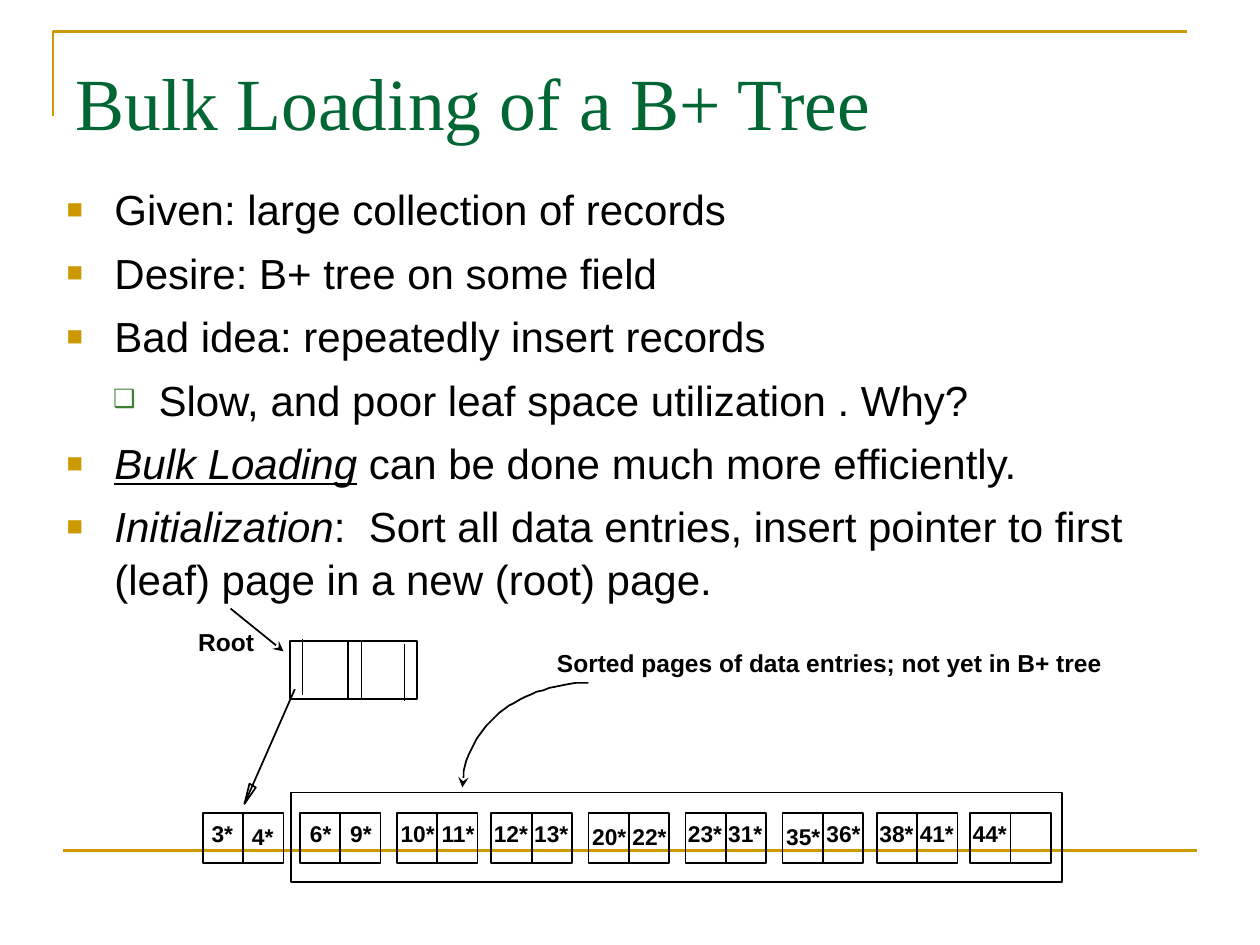
import math

from pptx import Presentation
from pptx import util as u
from pptx.dml.color import RGBColor
from pptx.enum import shapes, text
from pptx.oxml.ns import qn
from lxml import etree

PX = 9144  # 100 px to the inch
GOLD = RGBColor(0xCC, 0x99, 0x00)
GREEN = RGBColor(0x00, 0x66, 0x33)
LEAF_GREEN = RGBColor(0x3B, 0x81, 0x2F)
BLACK = RGBColor(0, 0, 0)

PLAIN, ITALIC, UNDERLINED = (False, False), (True, False), (True, True)
# level and runs of each point
POINTS = [
    (0, [("Given: large collection of records", PLAIN)]),
    (0, [("Desire: B+ tree on some field", PLAIN)]),
    (0, [("Bad idea: repeatedly insert records", PLAIN)]),
    (1, [("Slow, and poor leaf space utilization . Why?", PLAIN)]),
    (0, [("Bulk Loading", UNDERLINED), (" ", ITALIC),
         ("can be done much more efficiently.", PLAIN)]),
    (0, [("Initialization", ITALIC),
         (":  Sort all data entries, insert pointer to first (leaf) page "
          "in a new (root) page.", PLAIN)]),
]
# left margin, hanging indent, bullet, bullet colour and bullet size by level
LEVELS = [(38, 38, "■", GOLD, 65), (73, 36, "❑", LEAF_GREEN, 60)]

# left edge and entries of each leaf page
LEAF_PAGES = [
    (161, ["3*", "4*"]), (238, ["6*", "9*"]), (315, ["10*", "11*"]),
    (390, ["12*", "13*"]), (467, ["20*", "22*"]), (544, ["23*", "31*"]),
    (621, ["35*", "36*"]), (696, ["38*", "41*"]), (770, ["44*"]),
]
LOWERED = {"4*", "20*", "22*", "35*"}


def px(*lengths):
    return [u.Emu(length * PX) for length in lengths]


def add_run(paragraph, wording, size, color=BLACK, face="Arial", bold=False):
    run = paragraph.add_run()
    run.text = wording
    font = run.font
    font.size, font.name, font.bold = u.Pt(size), face, bold
    font.color.rgb = color
    return run


def add_label(slide, left, top, width, height, wording, size):
    frame = slide.shapes.add_textbox(*px(left, top, width, height)).text_frame
    frame.word_wrap = False
    paragraph = frame.paragraphs[0]
    paragraph.alignment = text.PP_ALIGN.CENTER
    add_run(paragraph, wording, size, bold=True)


def outline(shape, color=BLACK, weight=1):
    shape.shadow.inherit = False
    shape.fill.background()
    shape.line.color.rgb = color
    shape.line.width = u.Pt(weight)
    return shape


def add_box(slide, left, top, width, height):
    outline(slide.shapes.add_shape(
        shapes.MSO_SHAPE.RECTANGLE, *px(left, top, width, height)))


def add_path(slide, points, color=BLACK, weight=1, close=False):
    builder = slide.shapes.build_freeform(*points[0], scale=PX)
    builder.add_line_segments(points[1:], close=close)
    return outline(builder.convert_to_shape(), color, weight)


def add_line(slide, x1, y1, x2, y2, color=BLACK, weight=1):
    line = slide.shapes.add_connector(
        shapes.MSO_CONNECTOR.STRAIGHT, *px(x1, y1, x2, y2))
    line.line.color.rgb = color
    line.line.width = u.Pt(weight)
    etree.SubElement(line._element.spPr, qn("a:effectLst"))
    return line


def add_arrowhead(line, end):
    etree.SubElement(line.line._get_or_add_ln(), qn(end), type="stealth")


def add_frame_rules(slide, left, top, width, height):
    add_path(slide, [(left, top + 67), (left, top), (left + width, top)],
             GOLD, 1.5)
    add_line(slide, left + 8, top + height, left + 8 + width, top + height,
             GOLD, 1.5)


def fill_title(slide, left, top, width, height):
    title = slide.shapes.title
    title.left, title.top, title.width, title.height = px(
        left, top, width, height)
    frame = title.text_frame
    frame.auto_size = text.MSO_AUTO_SIZE.NONE
    frame.vertical_anchor = text.MSO_ANCHOR.MIDDLE
    paragraph = frame.paragraphs[0]
    paragraph.alignment = text.PP_ALIGN.LEFT
    add_run(paragraph, "Bulk Loading of a B+ Tree", 42, GREEN,
            "Times New Roman")


def set_bullet(paragraph, level):
    margin, hanging, mark, color, size = LEVELS[level]
    paragraph.level = level
    props = paragraph._p.get_or_add_pPr()
    props.set("marL", str(margin * PX))
    props.set("indent", str(-hanging * PX))
    bullet_color = etree.SubElement(props, qn("a:buClr"))
    etree.SubElement(bullet_color, qn("a:srgbClr"), val=str(color))
    etree.SubElement(props, qn("a:buSzPct"), val=str(size * 1000))
    etree.SubElement(props, qn("a:buFont"), typeface="Arial")
    etree.SubElement(props, qn("a:buChar"), char=mark)


def add_points(slide, left, top, width, height):
    frame = slide.shapes.add_textbox(*px(left, top, width, height)).text_frame
    frame.word_wrap = True
    for index, (level, runs) in enumerate(POINTS):
        paragraph = frame.add_paragraph() if index else frame.paragraphs[0]
        set_bullet(paragraph, level)
        paragraph.line_spacing = 1.05
        if index:
            paragraph.space_before = u.Pt(6)
        for wording, (italic, underline) in runs:
            font = add_run(paragraph, wording, 24).font
            font.italic, font.underline = italic, underline


def add_root(slide, left, top, width, height):
    add_box(slide, left, top, width, height)
    for x, shift in [(10, -2), (46, 0), (57, 0), (91, 2)]:
        add_line(slide, left + x, top + shift, left + x, top + shift + 45)
    add_label(slide, left - 83, top - 16, 65, 33, "Root", 14)
    add_arrowhead(add_line(slide, left - 47, top - 26, left - 5, top + 8),
                  "a:tailEnd")
    # pointer to the first leaf page
    tip = (left - 36, top + 129)
    add_line(slide, left + 4, top + 38, *tip)
    add_path(slide, [(left - 27, top + 116), tip, (left - 32, top + 113)],
             close=True)


def add_leaf_pages(slide, top, cell_width, height):
    for left, entries in LEAF_PAGES:
        add_box(slide, left, top, 2 * cell_width, height)
        add_line(slide, left + cell_width, top, left + cell_width,
                 top + height)
        for column, entry in enumerate(entries):
            width = 37 if len(entry) == 2 else 47
            center = left + (column + 0.5) * cell_width
            add_label(slide, round(center - width / 2),
                      top + (3 if entry in LOWERED else 1),
                      width, 32, entry, 13)


def add_sorted_pages_note(slide, left, top, width, height):
    add_box(slide, left, top, width, height)
    add_label(slide, left + 201, top - 120, 453, 33,
              "Sorted pages of data entries; not yet in B+ tree", 14)
    # quarter ellipse from the frame up to the note
    angles = [math.radians(3 * step) for step in range(31)]
    curve = add_path(slide, [
        (left + 236 - 100 * math.cos(a), top - 4 - 83 * math.sin(a))
        for a in angles])
    add_arrowhead(curve, "a:headEnd")


def main():
    deck = Presentation()
    deck.slide_width, deck.slide_height = px(1000, 750)
    slide = deck.slides.add_slide(deck.slide_layouts[5])
    add_frame_rules(slide, 42, 25, 900, 650)
    fill_title(slide, 50, 30, 900, 101)
    add_points(slide, 43, 139, 908, 329)
    add_root(slide, 230, 509, 101, 46)
    add_leaf_pages(slide, 645, 32, 40)
    add_sorted_pages_note(slide, 231, 629, 612, 71)
    deck.save("out.pptx")


if __name__ == "__main__":
    main()
